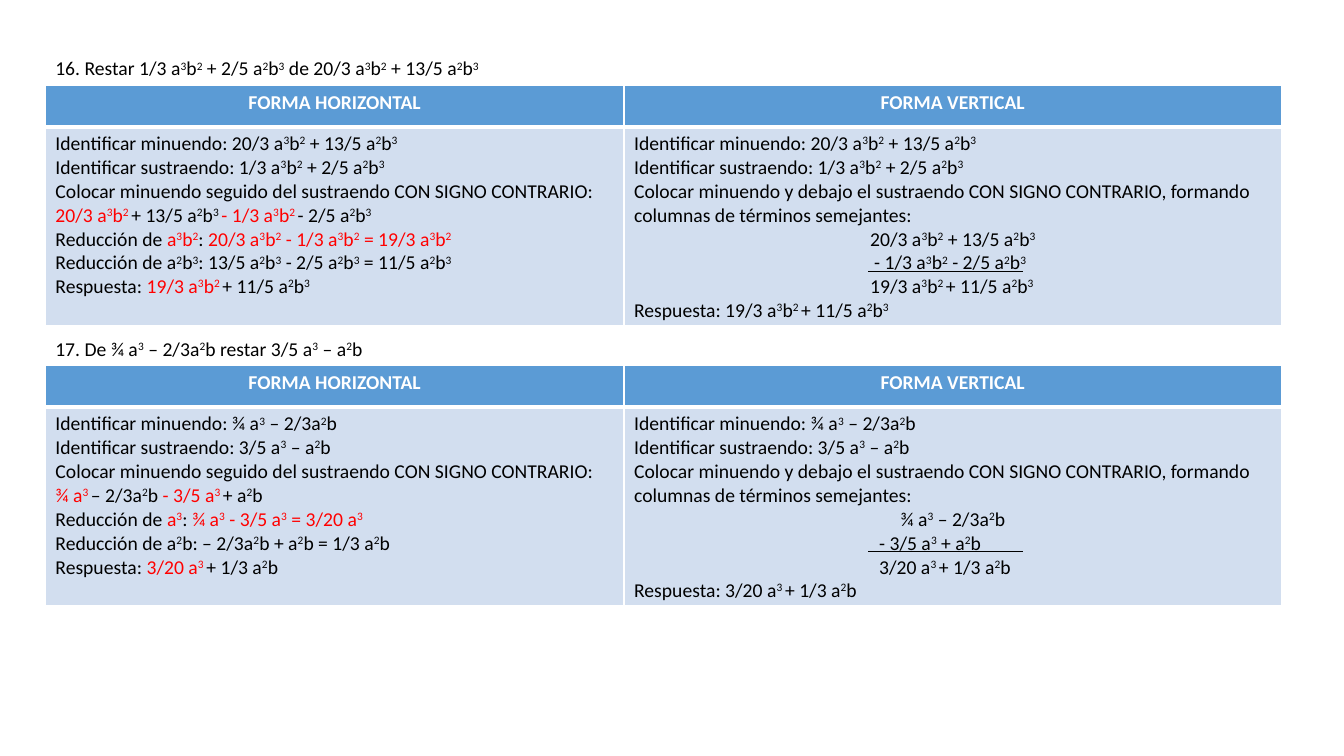
from dataclasses import dataclass
from itertools import groupby

from lxml.etree import SubElement
from pptx import Presentation
from pptx.dml.color import RGBColor
from pptx.enum.shapes import MSO_CONNECTOR
from pptx.enum.text import MSO_AUTO_SIZE, PP_ALIGN
from pptx.oxml.ns import qn
from pptx.util import Inches, Pt


@dataclass(frozen=True)
class Theme:
    font: str = "Calibri"
    size: int = 14
    text: str = "000000"
    accent: str = "FF0000"
    light: str = "FFFFFF"
    header: str = "5B9BD5"
    body: str = "D2DEEF"
    thin: float = 1
    thick: float = 3
    rule: float = 0.5


@dataclass(frozen=True)
class Problem:
    """Algebra texts: ^ raises the next character, braces hold the accent colour."""
    title: str
    minuend: str
    subtrahend: str
    chain: str
    reductions: tuple
    answer: str
    opposite: str
    indents: tuple


THEME = Theme()
COLUMNS = (5.74, 6.52)
ROWS = (0.41, 1.96)
LEFT, TOP, PITCH = 0.45, 0.51, 2.78

PROBLEMS = (
    Problem(
        title="16. Restar 1/3 a^3b^2 + 2/5 a^2b^3 de 20/3 a^3b^2 + 13/5 a^2b^3",
        minuend="20/3 a^3b^2 + 13/5 a^2b^3",
        subtrahend="1/3 a^3b^2 + 2/5 a^2b^3",
        chain="{20/3 a^3b^2^ }+ 13/5 a^2b^3^ {- 1/3 a^3b^2^ }- 2/5 a^2b^3",
        reductions=("{a^3b^2}: {20/3 a^3b^2 - 1/3 a^3b^2 = 19/3 a^3b^2}",
                    "a^2b^3: 13/5 a^2b^3 - 2/5 a^2b^3 = 11/5 a^2b^3"),
        answer="{19/3 a^3b^2^ }+ 11/5 a^2b^3",
        opposite="- 1/3 a^3b^2 - 2/5 a^2b^3",
        indents=(2.38, 2.34),
    ),
    Problem(
        title="17. De ¾ a^3 – 2/3a^2b restar 3/5 a^3 – a^2b",
        minuend="¾ a^3 – 2/3a^2b",
        subtrahend="3/5 a^3 – a^2b",
        chain="{¾ a^3^ }– 2/3a^2b {- 3/5 a^3^ }+ a^2b",
        reductions=("{a^3}: {¾ a^3 - 3/5 a^3 = 3/20 a^3}",
                    "a^2b: – 2/3a^2b + a^2b = 1/3 a^2b"),
        answer="{3/20 a^3^ }+ 1/3 a^2b",
        opposite="- 3/5 a^3 + a^2b",
        indents=(2.43, 2.43),
    ),
)


def styled_characters(markup):
    """Yield each visible character with its raised and accent flags."""
    raised = accent = False
    for character in markup:
        if character == "^":
            raised = True
        elif character in "{}":
            accent = character == "{"
        else:
            yield character, (raised, accent)
            raised = False


def write_paragraph(paragraph, markup, color=THEME.text, bold=False,
                    align=PP_ALIGN.LEFT, indent=0):
    paragraph.alignment = align
    if indent:
        properties = paragraph._p.get_or_add_pPr()
        properties.set("marL", str(Inches(indent)))
        properties.set("indent", "0")
    font = paragraph.font
    font.name, font.size, font.bold = THEME.font, Pt(THEME.size), bold
    font.color.rgb = RGBColor.from_string(color)
    for (raised, accent), group in groupby(styled_characters(markup), lambda item: item[1]):
        run = paragraph.add_run()
        run.text = "".join(character for character, _ in group)
        if raised:
            run._r.get_or_add_rPr().set("baseline", "30000")
        if accent:
            run.font.color.rgb = RGBColor.from_string(THEME.accent)


def write_lines(text_frame, lines):
    """Fill a frame from (markup, options) pairs."""
    for index, (markup, options) in enumerate(lines):
        paragraph = text_frame.add_paragraph() if index else text_frame.paragraphs[0]
        write_paragraph(paragraph, markup, **options)


def style_cell(cell, fill, top, bottom):
    properties = cell._tc.get_or_add_tcPr()
    widths = {"lnL": THEME.thin, "lnR": THEME.thin, "lnT": top, "lnB": bottom}
    for side, width in widths.items():
        border = SubElement(properties, qn(f"a:{side}"), w=str(Pt(width)))
        solid = SubElement(border, qn("a:solidFill"))
        SubElement(solid, qn("a:srgbClr"), val=THEME.light)
    cell.fill.solid()
    cell.fill.fore_color.rgb = RGBColor.from_string(fill)


def horizontal_lines(problem):
    return [
        (f"Identificar minuendo: {problem.minuend}", {}),
        (f"Identificar sustraendo: {problem.subtrahend}", {}),
        ("Colocar minuendo seguido del sustraendo CON SIGNO CONTRARIO:", {}),
        (problem.chain, {}),
        *((f"Reducción de {reduction}", {}) for reduction in problem.reductions),
        (f"Respuesta: {problem.answer}", {}),
    ]


def vertical_lines(problem):
    answer = problem.answer.replace("{", "").replace("}", "")
    opposite_indent, answer_indent = problem.indents
    return [
        (f"Identificar minuendo: {problem.minuend}", {}),
        (f"Identificar sustraendo: {problem.subtrahend}", {}),
        ("Colocar minuendo y debajo el sustraendo CON SIGNO CONTRARIO, "
         "formando columnas de términos semejantes:", {}),
        (problem.minuend, {"align": PP_ALIGN.CENTER}),
        (problem.opposite, {"align": PP_ALIGN.JUSTIFY, "indent": opposite_indent}),
        (answer, {"align": PP_ALIGN.JUSTIFY, "indent": answer_indent}),
        (f"Respuesta: {answer}", {"align": PP_ALIGN.JUSTIFY}),
    ]


def add_title(slide, problem, left, top):
    box = slide.shapes.add_textbox(Inches(left), Inches(top), Inches(4.55), Inches(0.34))
    box.text_frame.word_wrap = False
    box.text_frame.auto_size = MSO_AUTO_SIZE.SHAPE_TO_FIT_TEXT
    write_paragraph(box.text_frame.paragraphs[0], problem.title)


def add_comparison(slide, problem, left, top):
    frame = slide.shapes.add_table(2, 2, Inches(left), Inches(top),
                                   Inches(sum(COLUMNS)), Inches(sum(ROWS)))
    table = frame.table
    for column, width in zip(table.columns, COLUMNS):
        column.width = Inches(width)
    for row, height in zip(table.rows, ROWS):
        row.height = Inches(height)
    heading = {"color": THEME.light, "bold": True, "align": PP_ALIGN.CENTER}
    contents = (("FORMA HORIZONTAL", horizontal_lines(problem)),
                ("FORMA VERTICAL", vertical_lines(problem)))
    for column, (name, lines) in enumerate(contents):
        header, body = table.cell(0, column), table.cell(1, column)
        style_cell(header, THEME.header, THEME.thin, THEME.thick)
        style_cell(body, THEME.body, THEME.thick, THEME.thin)
        write_lines(header.text_frame, [(name, heading)])
        write_lines(body.text_frame, lines)


def add_sum_rule(slide, left, top):
    rule = slide.shapes.add_connector(MSO_CONNECTOR.STRAIGHT, Inches(left), Inches(top),
                                      Inches(left + 1.54), Inches(top))
    rule.line.color.rgb = RGBColor.from_string(THEME.text)
    rule.line.width = Pt(THEME.rule)
    SubElement(rule._element.spPr, qn("a:effectLst"))


def add_problem(slide, problem, left, top):
    add_title(slide, problem, left, top)
    add_comparison(slide, problem, left, top + 0.34)
    add_sum_rule(slide, left + 8.16, top + 2.18)


def main():
    presentation = Presentation()
    presentation.slide_width, presentation.slide_height = Inches(13.33), Inches(7.5)
    slide = presentation.slides.add_slide(presentation.slide_layouts[6])
    for index, problem in enumerate(PROBLEMS):
        add_problem(slide, problem, LEFT, TOP + index * PITCH)
    presentation.save("out.pptx")


if __name__ == "__main__":
    main()
